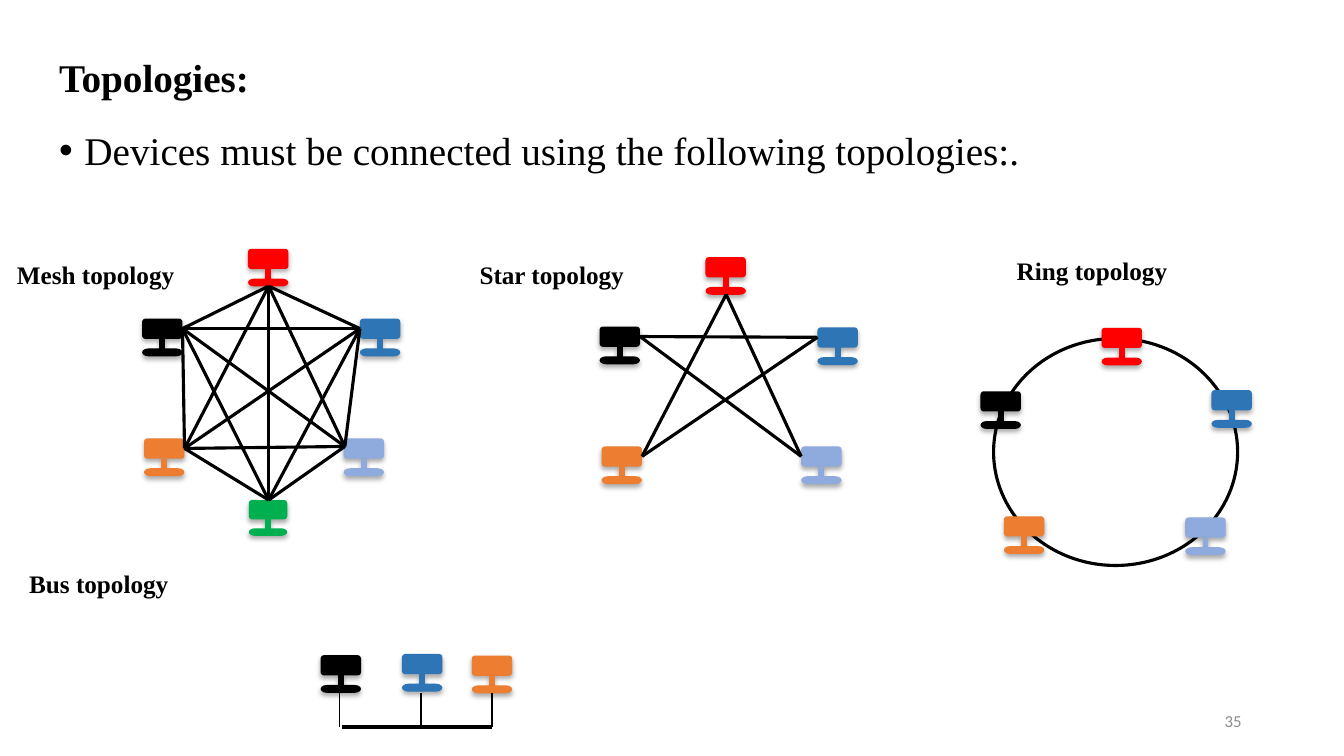
from itertools import combinations

from lxml import etree
from pptx import Presentation
from pptx.dml.color import RGBColor
from pptx.enum.shapes import MSO_CONNECTOR, MSO_SHAPE
from pptx.enum.text import MSO_ANCHOR as ANCHOR, PP_ALIGN as ALIGN
from pptx.oxml import parse_xml
from pptx.oxml.ns import nsdecls, qn
from pptx.util import Cm, Pt

COLORS = {
    "red": "FF0000",
    "blue": "2E75B6",
    "periwinkle": "8FAADC",
    "green": "00B050",
    "orange": "ED7D31",
    "black": "000000",
    "gray": "8C8C8C",
}
SERIF = "Times New Roman"
SHADOW = (
    f'<a:outerShdw {nsdecls("a")} blurRad="44450" dist="27940" dir="5400000" '
    'algn="ctr" rotWithShape="0">'
    '<a:srgbClr val="000000"><a:alpha val="32000"/></a:srgbClr></a:outerShdw>'
)
# Offset and size of each part: screen, stand, foot
MONITOR_PARTS = [
    (MSO_SHAPE.ROUNDED_RECTANGLE, 0, 0, 1.02, 0.51),
    (MSO_SHAPE.MATH_MINUS, 0.41, 0.04, 0.2, 1.22),
    (MSO_SHAPE.FLOWCHART_TERMINATOR, 0, 0.75, 1.02, 0.2),
]

presentation = Presentation()
presentation.slide_width = Cm(33.87)
presentation.slide_height = Cm(19.05)
slide = presentation.slides.add_slide(presentation.slide_layouts[6])


def add_monitor(color, left, top, scale=1):
    """Group a screen, its stand and its foot in one colour."""
    group = slide.shapes.add_group_shape()
    for kind, x, y, width, height in MONITOR_PARTS:
        shape = group.shapes.add_shape(
            kind, Cm(left + x * scale), Cm(top + y * scale),
            Cm(width * scale), Cm(height * scale))
        shape.fill.solid()
        shape.fill.fore_color.rgb = RGBColor.from_string(COLORS[color])
        shape.line.fill.background()
        shape.shadow.inherit = False
        effects = shape._element.spPr.find(qn("a:effectLst"))
        effects.append(parse_xml(SHADOW))


def add_line(start, end, weight=2.25):
    line = slide.shapes.add_connector(
        MSO_CONNECTOR.STRAIGHT, Cm(start[0]), Cm(start[1]), Cm(end[0]), Cm(end[1]))
    line.line.color.rgb = RGBColor.from_string(COLORS["black"])
    line.line.width = Pt(weight)
    etree.SubElement(line._element.spPr, qn("a:effectLst"))


# Heading and bullet
body = slide.shapes.add_textbox(Cm(1.24), Cm(0.62), Cm(31.83), Cm(4.09)).text_frame
body.word_wrap = True
body_lines = ["Topologies:", "Devices must be connected using the following topologies:."]
for index, text in enumerate(body_lines):
    paragraph = body.add_paragraph() if index else body.paragraphs[0]
    paragraph.text = text
    paragraph.line_spacing = 1.5
    if index:
        paragraph.space_before = Pt(2)
        properties = paragraph._p.get_or_add_pPr()
        properties.set("marL", str(Cm(0.64)))
        properties.set("indent", str(-Cm(0.64)))
        etree.SubElement(properties, qn("a:buFont"), typeface="Arial")
        etree.SubElement(properties, qn("a:buChar"), char="•")
    font_format = {"name": SERIF, "size": Pt(28), "bold": index == 0}
    for name, value in font_format.items():
        setattr(paragraph.font, name, value)
    paragraph.font.color.rgb = RGBColor.from_string(COLORS["black"])

# Mesh: every device is linked to every other one
mesh_monitors = [
    ("periwinkle", 8.66, 11.05),
    ("orange", 3.63, 11.05),
    ("blue", 9.07, 8.03),
    ("black", 3.58, 8.03),
    ("green", 6.27, 12.6, 0.95),
    ("red", 6.25, 6.27),
]
mesh_ports = [(6.77, 7.21), (9.07, 8.28), (8.69, 11.25),
              (6.77, 12.6), (4.65, 11.3), (4.6, 8.28)]
for monitor in mesh_monitors:
    add_monitor(*monitor)
for start, end in combinations(mesh_ports, 2):
    add_line(start, end)

# Star: every device is linked to the next but one
star_monitors = [
    ("periwinkle", 20.19, 11.25),
    ("orange", 15.16, 11.25),
    ("blue", 20.6, 8.25),
    ("black", 15.11, 8.23),
    ("red", 17.78, 6.48),
]
star_ports = [(18.3, 7.42), (20.6, 8.5), (20.19, 11.5), (16.18, 11.5), (16.13, 8.48)]
for monitor in star_monitors:
    add_monitor(*monitor)
for index, port in enumerate(star_ports):
    add_line(port, star_ports[(index + 2) % len(star_ports)])

# Ring
ring = slide.shapes.add_shape(MSO_SHAPE.OVAL, Cm(25.04), Cm(8.53), Cm(6.15), Cm(5.72))
ring.fill.background()
ring.line.color.rgb = RGBColor.from_string(COLORS["black"])
ring.line.width = Pt(2.25)
ring.shadow.inherit = False
ring_monitors = [
    ("black", 24.71, 9.86),
    ("red", 27.76, 8.26),
    ("blue", 30.53, 9.83),
    ("periwinkle", 29.87, 13.04),
    ("orange", 25.3, 13.01),
]
for monitor in ring_monitors:
    add_monitor(*monitor)

# Bus: devices drop down to one shared line
bus_y = 18.32
add_line((8.61, bus_y), (12.4, bus_y), 3)
bus_monitors = [
    ("black", 8.08, 16.51, 8.56, 1),
    ("blue", 10.13, 16.48, 10.6, 1.5),
    ("orange", 11.89, 16.52, 12.4, 1),
]
for color, left, top, drop_x, weight in bus_monitors:
    add_monitor(color, left, top)
    add_line((drop_x, 17.45), (drop_x, bus_y), weight)

# Diagram labels and slide number
label_format = {"name": SERIF, "size": Pt(18), "bold": True}
number_format = {"name": "Calibri", "size": Pt(12), "bold": False}
labels = [
    ("Mesh topology", 0.15, 6.4, 4.52, ALIGN.CENTER, "black", label_format),
    ("Star topology", 11.81, 6.4, 4.19, ALIGN.CENTER, "black", label_format),
    ("Ring topology", 25.35, 6.3, 4.34, ALIGN.CENTER, "black", label_format),
    ("Bus topology", 0.46, 14.2, 4.06, ALIGN.CENTER, "black", label_format),
    ("35", 23.92, 17.66, 7.62, ALIGN.RIGHT, "gray", number_format),
]
for text, left, top, width, alignment, color, font_format in labels:
    frame = slide.shapes.add_textbox(Cm(left), Cm(top), Cm(width), Cm(1.02)).text_frame
    frame.word_wrap = font_format is number_format
    frame.vertical_anchor = ANCHOR.MIDDLE if font_format is number_format else ANCHOR.TOP
    paragraph = frame.paragraphs[0]
    paragraph.text = text
    paragraph.alignment = alignment
    for name, value in font_format.items():
        setattr(paragraph.font, name, value)
    paragraph.font.color.rgb = RGBColor.from_string(COLORS[color])

presentation.save("out.pptx")
